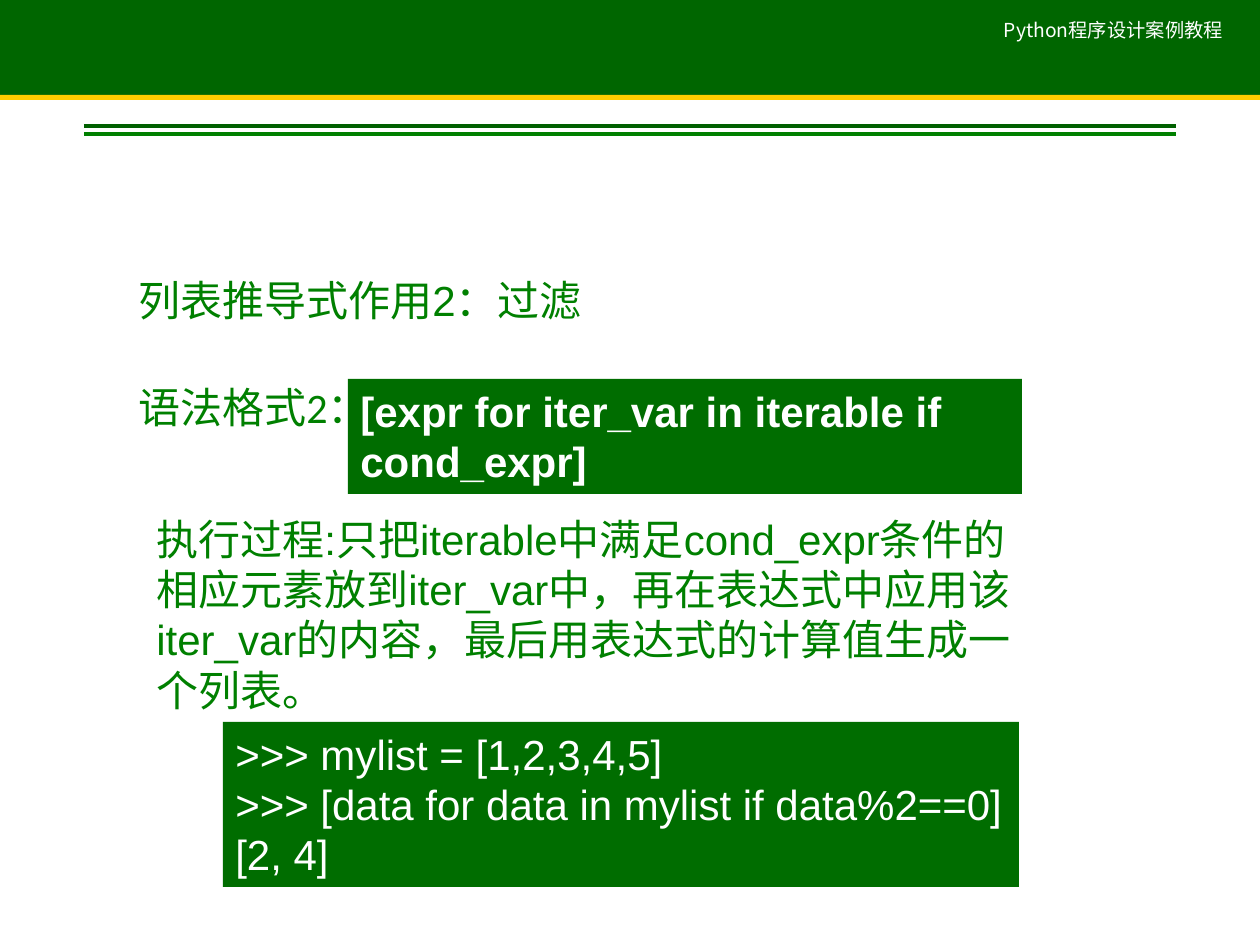
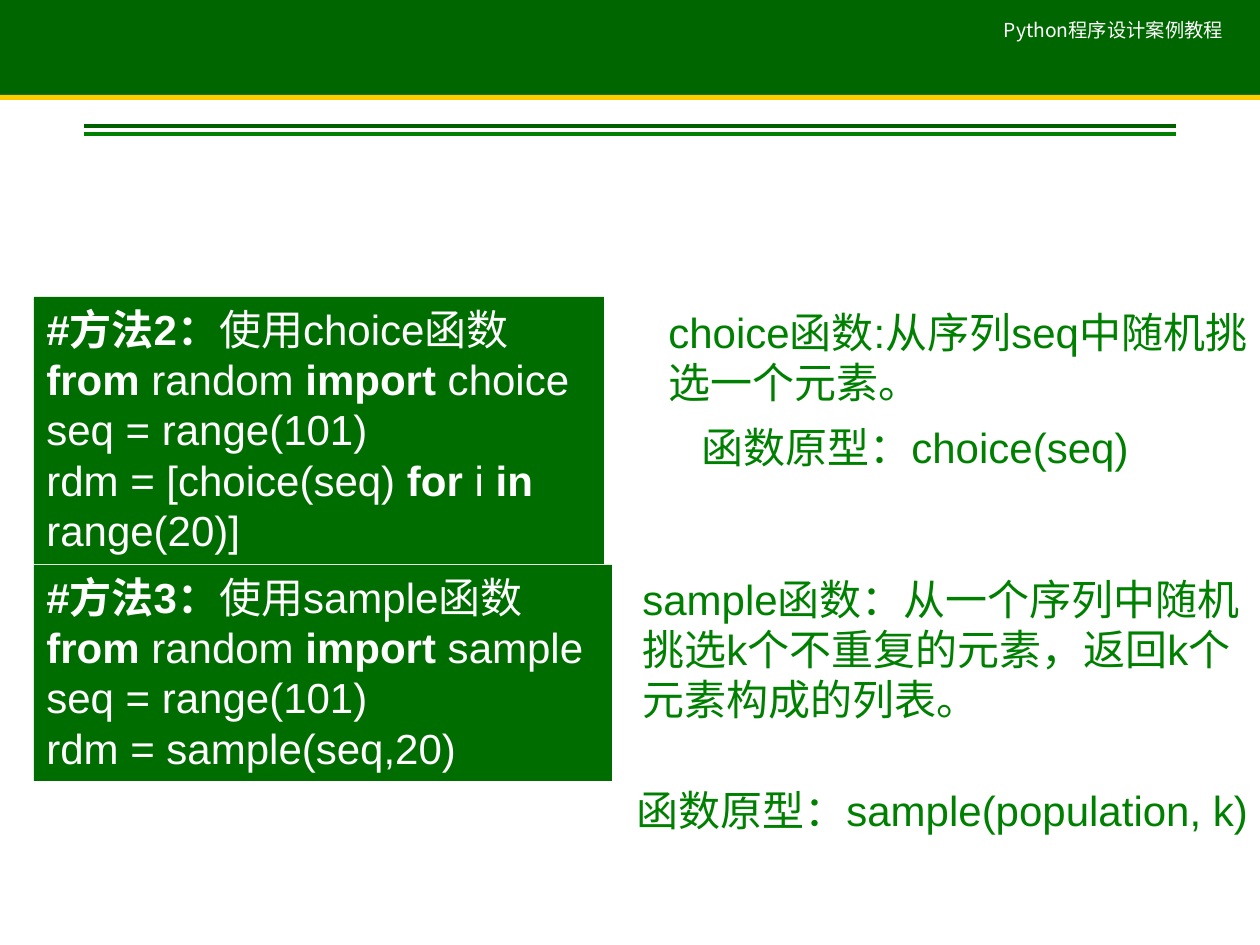
from lxml import etree
from pptx import Presentation, util as u
from pptx.dml.color import RGBColor
from pptx.enum import shapes, text
from pptx.oxml.ns import qn

PX = 914400 / 126
COLORS = {
    "band": "006600", "stripe": "FFCC00", "rule_dark": "006000",
    "green": "008000", "code": "006D00", "white": "FFFFFF",
}
CJK = "Noto Sans CJK SC"


def px(*lengths):
    return [u.Emu(round(n * PX)) for n in lengths]


def add_text(slide, box, content, fill=None, color="green", size=24, font="Arial",
             align=text.PP_ALIGN.LEFT):
    """Add a box at (left, top, width, height) px; **marks** make words bold."""
    if fill:
        block = slide.shapes.add_shape(shapes.MSO_SHAPE.RECTANGLE, *px(*box))
        block.shadow.inherit = False
        block.fill.solid()
        block.fill.fore_color.rgb = RGBColor.from_string(COLORS[fill])
        block.line.fill.background()
    else:
        block = slide.shapes.add_textbox(*px(*box))
    frame = block.text_frame
    frame.word_wrap = True
    frame.vertical_anchor = text.MSO_ANCHOR.TOP
    if not content:
        return
    frame.auto_size = text.MSO_AUTO_SIZE.SHAPE_TO_FIT_TEXT
    for row, line in enumerate(content.split("\n")):
        paragraph = frame.add_paragraph() if row else frame.paragraphs[0]
        paragraph.alignment = align
        for part, words in enumerate(line.split("**")):
            if not words:
                continue
            run = paragraph.add_run()
            run.text = words
            run.font.size = u.Pt(size)
            run.font.name = font
            run.font.bold = part % 2 == 1
            run.font.color.rgb = RGBColor.from_string(COLORS[color])
            east_asian = etree.SubElement(run.font._element, qn("a:ea"))
            east_asian.set("typeface", CJK)


CODE = {"fill": "code", "color": "white"}
SLIDES = [
    [
        ((126, 268, 514, 63), "列表推导式作用2：过滤", {}),
        ((126, 375, 258, 63), "语法格式2：", {"font": "Calibri"}),
        ((348, 379, 674, 115), "**[expr for iter_var in iterable if cond_expr]**", CODE),
        ((144, 507, 914, 217),
         "执行过程:只把iterable中满足cond_expr条件的相应元素放到iter_var中，"
         "再在表达式中应用该iter_var的内容，最后用表达式的计算值生成一个列表。", {}),
        ((223, 722, 796, 165),
         ">>> mylist = [1,2,3,4,5]\n"
         ">>> [data for data in mylist if data%2==0]\n"
         "[2, 4]", CODE),
    ],
    [
        ((34, 297, 570, 267),
         "**#方法2：**使用choice函数\n"
         "**from **random **import **choice\n"
         "seq = range(101)\n"
         "rdm = [choice(seq) **for **i **in **range(20)]", CODE),
        ((34, 565, 578, 216),
         "**#方法3：**使用sample函数\n"
         "**from **random **import **sample\n"
         "seq = range(101)\n"
         "rdm = sample(seq,20)", CODE),
        ((656, 300, 630, 115), "choice函数:从序列seq中随机挑选一个元素。", {}),
        ((689, 415, 457, 63), "函数原型：choice(seq)", {}),
        ((630, 567, 630, 165),
         "sample函数：从一个序列中随机挑选k个不重复的元素，返回k个元素构成的列表。", {}),
        ((624, 778, 644, 63), "函数原型：sample(population, k)", {}),
    ],
]

prs = Presentation()
prs.slide_width, prs.slide_height = px(1260, 945)
blank = prs.slide_layouts[6]

for blocks in SLIDES:
    slide = prs.slides.add_slide(blank)

    # Header band, double rule and course name
    add_text(slide, (0, 0, 1260, 100), "", fill="band")
    add_text(slide, (0, 95, 1260, 5), "", fill="stripe")
    for y, shade in ((126, "rule_dark"), (134, "green")):
        rule = slide.shapes.add_connector(
            shapes.MSO_CONNECTOR.STRAIGHT, *px(84, y, 1176, y))
        rule.line.color.rgb = RGBColor.from_string(COLORS[shade])
        rule.line.width = u.Pt(2.25)
        etree.SubElement(rule._element.spPr, qn("a:effectLst"))
    add_text(slide, (990, 12, 247, 37), "Python程序设计案例教程",
             color="white", size=11, font=CJK, align=text.PP_ALIGN.CENTER)

    for box, content, style in blocks:
        add_text(slide, box, content, **style)

prs.save("out.pptx")
